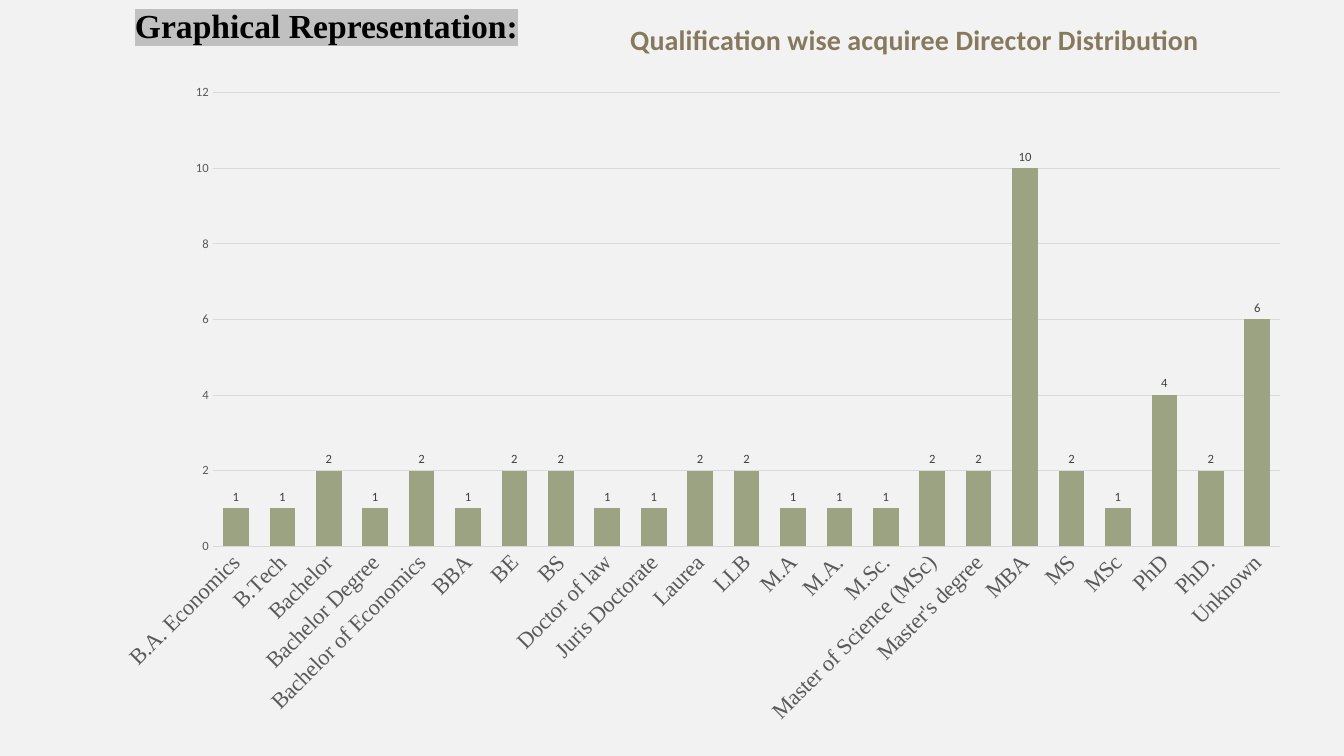
from lxml import etree
from pptx import Presentation
from pptx import util as u
from pptx.chart.data import CategoryChartData
from pptx.dml.color import RGBColor
from pptx.enum import chart as charts
from pptx.oxml import ns

COLORS = {
    "background": "F2F2F2", "heading": "000000", "highlight": "C0C0C0",
    "title": "87795D", "bar": "9CA383", "axis": "595959",
    "label": "404040", "line": "D9D9D9",
}
QUALIFICATIONS = {
    "B.A. Economics": 1, "B.Tech": 1, "Bachelor": 2, "Bachelor Degree": 1,
    "Bachelor of Economics": 2, "BBA": 1, "BE": 2, "BS": 2,
    "Doctor of law": 1, "Juris Doctorate": 1, "Laurea": 2, "LLB": 2,
    "M.A": 1, "M.A.": 1, "M.Sc.": 1, "Master of Science (MSc)": 2,
    "Master's degree": 2, "MBA": 10, "MS": 2, "MSc": 1, "PhD": 4,
    "PhD.": 2, "Unknown": 6,
}


def color(name):
    return RGBColor.from_string(COLORS[name])


def style_font(font, size, color_name, name="Calibri", bold=False):
    font.size = u.Pt(size)
    font.name = name
    font.bold = bold
    font.color.rgb = color(color_name)


def style_line(line):
    line.color.rgb = color("line")
    line.width = u.Pt(0.75)


def make_layout(**values):
    layout = etree.Element(ns.qn("c:layout"))
    manual = etree.SubElement(layout, ns.qn("c:manualLayout"))
    for tag, value in values.items():
        etree.SubElement(manual, ns.qn(f"c:{tag}")).set("val", str(value))
    return layout


def replace_layout(parent, index, layout):
    for old in parent.findall(ns.qn("c:layout")):
        parent.remove(old)
    parent.insert(index, layout)


def add_heading(slide, left, top, width, height):
    shape = slide.shapes.add_textbox(left, top, width, height)
    shape.text_frame.word_wrap = True
    shape.text_frame.text = "Graphical Representation:"
    run = shape.text_frame.paragraphs[0].runs[0]
    style_font(run.font, 24, "heading", "Times New Roman", True)
    highlight = etree.Element(ns.qn("a:highlight"))
    etree.SubElement(highlight, ns.qn("a:srgbClr")).set("val", COLORS["highlight"])
    run.font._element.find(ns.qn("a:solidFill")).addnext(highlight)


def add_qualification_chart(slide, left, top, width, height):
    data = CategoryChartData()
    data.categories = list(QUALIFICATIONS)
    data.add_series("Series 1", list(QUALIFICATIONS.values()))
    chart = slide.shapes.add_chart(
        charts.XL_CHART_TYPE.COLUMN_CLUSTERED, left, top, width, height, data
    ).chart
    style_font(chart.font, 10, "heading")
    chart.has_legend = False

    chart.has_title = True
    title = chart.chart_title
    title.include_in_layout = False
    title.text_frame.text = "Qualification wise acquiree Director Distribution"
    style_font(title.text_frame.paragraphs[0].runs[0].font, 20, "title", bold=True)
    replace_layout(title._element, 1, make_layout(
        xMode="edge", yMode="edge",
        x=u.Inches(5.2) / width, y=u.Inches(0.15) / height))

    plot = chart.plots[0]
    plot.gap_width = 81
    plot.vary_by_categories = False
    series = plot.series[0]
    series.format.fill.solid()
    series.format.fill.fore_color.rgb = color("bar")
    labels = series.data_labels
    labels.show_value = True
    labels.position = charts.XL_LABEL_POSITION.OUTSIDE_END
    style_font(labels.font, 9, "label")

    categories, values = chart.category_axis, chart.value_axis
    for axis in (categories, values):
        axis.major_tick_mark = axis.minor_tick_mark = charts.XL_TICK_MARK.NONE
    style_font(categories.tick_labels.font, 16, "axis", "Times New Roman")
    style_line(categories.format.line)
    categories._element.find(ns.qn("c:txPr")).find(ns.qn("a:bodyPr")).set("rot", "-2700000")
    style_font(values.tick_labels.font, 9, "axis")
    values.minimum_scale, values.maximum_scale, values.major_unit = 0, 12, 2
    values.format.line.fill.background()
    style_line(values.major_gridlines.format.line)

    plot_area = plot._element.getparent()
    replace_layout(plot_area, 0, make_layout(
        layoutTarget="inner", xMode="edge", yMode="edge",
        x=u.Inches(1.11) / width, y=u.Inches(0.92) / height,
        w=u.Inches(10.59) / width, h=u.Inches(4.5) / height))


def build_slide(presentation):
    slide = presentation.slides.add_slide(presentation.slide_layouts[6])
    slide.background.fill.solid()
    slide.background.fill.fore_color.rgb = color("background")
    add_qualification_chart(
        slide, u.Inches(1), u.Inches(0), u.Inches(11.93), u.Inches(7.33))
    add_heading(slide, u.Inches(1.24), u.Inches(0), u.Inches(4.78), u.Inches(0.91))


presentation = Presentation()
presentation.slide_width = u.Inches(13.33)
presentation.slide_height = u.Inches(7.5)
build_slide(presentation)
presentation.save("out.pptx")
